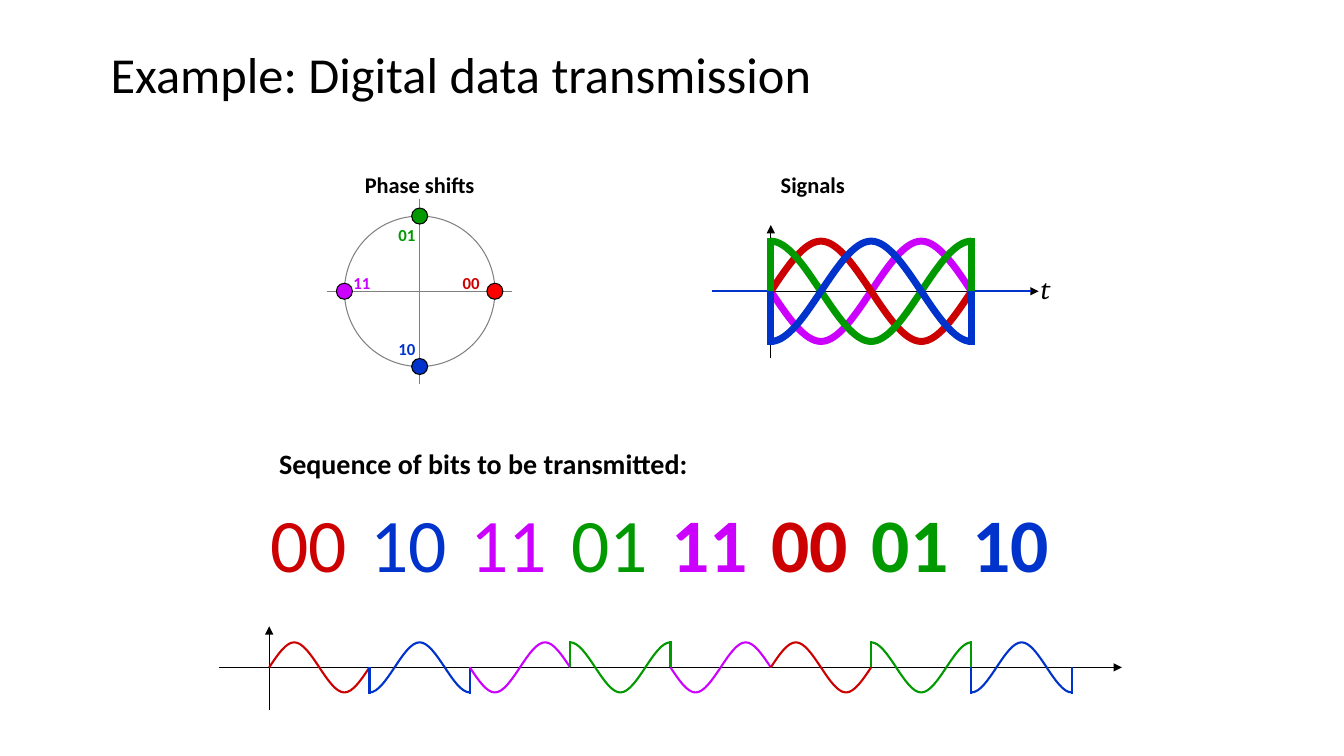
import math

from lxml import etree
from pptx import Presentation, util as u
from pptx.dml.color import RGBColor
from pptx.enum import shapes, text
from pptx.oxml import ns

BLACK = RGBColor(0x00, 0x00, 0x00)
GRAY = RGBColor(0x80, 0x80, 0x80)
RED = RGBColor(0xCC, 0x00, 0x00)
BRIGHT_RED = RGBColor(0xFF, 0x00, 0x00)
GREEN = RGBColor(0x00, 0x99, 0x00)
PURPLE = RGBColor(0xCC, 0x00, 0xFF)
BLUE = RGBColor(0x00, 0x33, 0xCC)

CELL = 7.96 / 8
LEFT, TOP = 2.67, 2.89
CENTER = 1.5
RADIUS = 0.75
DOT_RADIUS = 0.08
SIGNAL_START, SIGNAL_END = 5, 7
STREAM_ROW = 3.75

SYMBOLS = {"00": (0, RED), "01": (1, GREEN), "11": (2, PURPLE), "10": (3, BLUE)}
BITS = ["00", "10", "11", "01", "11", "00", "01", "10"]
FIRST_BOLD = 4
QUARTERS = [(0, 0.5, 1, 1), (1, 1, 0.5, 0), (0, -0.5, -1, -1), (-1, -1, -0.5, 0)]


def col(number):
    return u.Inches(LEFT + number * CELL)


def row(number):
    return u.Inches(TOP + number * CELL)


def span_of(cells):
    return u.Inches(cells * CELL)


def add_text(page, wording, left, top, width, height, size, color=BLACK,
             bold=False, italic=False, font="Calibri", align=text.PP_ALIGN.LEFT):
    box = page.shapes.add_textbox(col(left), row(top), span_of(width), span_of(height))
    box.text_frame.word_wrap = True
    para = box.text_frame.paragraphs[0]
    para.alignment = align
    span = para.add_run()
    span.text = wording
    span.font.name = font
    span.font.size = u.Pt(size)
    span.font.bold = bold
    span.font.italic = italic
    span.font.color.rgb = color


def add_line(page, start, end, color=BLACK, weight=0.75, arrow=False):
    line = page.shapes.add_connector(
        shapes.MSO_CONNECTOR.STRAIGHT, col(start[0]), row(start[1]), col(end[0]), row(end[1]))
    line.line.color.rgb = color
    line.line.width = u.Pt(weight)
    if arrow:
        etree.SubElement(line.line._get_or_add_ln(), ns.qn("a:tailEnd"), type="triangle")
    etree.SubElement(line._element.spPr, ns.qn("a:effectLst"))


def add_circle(page, column, level, radius, color, fill=None):
    circle = page.shapes.add_shape(
        shapes.MSO_SHAPE.OVAL, col(column - radius), row(level - radius),
        span_of(2 * radius), span_of(2 * radius))
    circle.shadow.inherit = False
    if fill is None:
        circle.fill.background()
    else:
        circle.fill.solid()
        circle.fill.fore_color.rgb = fill
    circle.line.color.rgb = color
    circle.line.width = u.Pt(0.75)


def bend_segments(arc):
    segments = list(arc._element.iter(ns.qn("a:lnTo")))
    for first in range(0, len(segments), 3):
        curve = etree.Element(ns.qn("a:cubicBezTo"))
        segments[first].addprevious(curve)
        for segment in segments[first:first + 3]:
            curve.append(segment[0])
            segment.getparent().remove(segment)


def add_arc(page, points, color, weight):
    places = [(col(x), row(y)) for x, y in points]
    builder = page.shapes.build_freeform(*places[0])
    builder.add_line_segments(places[1:], close=False)
    arc = builder.convert_to_shape()
    bend_segments(arc)
    arc.shadow.inherit = False
    arc.fill.background()
    arc.line.color.rgb = color
    arc.line.width = u.Pt(weight)


def add_wave(page, symbol, start, level, period, height, weight):
    phase, color = SYMBOLS[symbol]
    cuts = [0, 1, 3, 4] if phase % 2 else [0, 2, 4]
    for first, last in zip(cuts, cuts[1:]):
        points = [(start + period * first / 4,
                   level - height * QUARTERS[(first + phase) % 4][0])]
        for quarter in range(first, last):
            heights = QUARTERS[(quarter + phase) % 4]
            points += [(start + period * (quarter + third / 3) / 4,
                        level - height * heights[third]) for third in (1, 2, 3)]
        add_arc(page, points, color, weight)
    if phase % 2:
        edge = QUARTERS[phase][0] * (height + weight / 144)
        for side in (start, start + period):
            add_line(page, (side, level - edge), (side, level), color, weight)


def draw_phase_shifts(page):
    add_text(page, "Phase shifts", CENTER - 1, -1.25, 2, 0.37, 16, bold=True,
             align=text.PP_ALIGN.CENTER)
    add_line(page, (CENTER, 0.92), (CENTER, -0.92), GRAY)
    add_circle(page, CENTER, 0, RADIUS, GRAY)
    add_line(page, (CENTER - 0.92, 0), (CENTER + 0.92, 0), GRAY)
    labels = {"00": (1.83, -0.23), "01": (1.19, -0.71), "10": (1.19, 0.42), "11": (0.74, -0.23)}
    for symbol, (left, top) in labels.items():
        phase, color = SYMBOLS[symbol]
        add_text(page, symbol, left, top, 0.41 if phase % 2 == 0 else 0.5, 0.3, 12,
                 color, bold=True)
        angle = phase * math.pi / 2
        add_circle(page, CENTER + RADIUS * math.cos(angle), -RADIUS * math.sin(angle),
                   DOT_RADIUS, BLACK, BRIGHT_RED if symbol == "00" else color)


def draw_signals(page):
    add_text(page, "Signals", SIGNAL_START, -1.25, 2, 0.37, 16, bold=True)
    add_line(page, (4.41, 0), (7.67, 0), arrow=True)
    add_line(page, (SIGNAL_START, 0.67), (SIGNAL_START, -0.66), arrow=True)
    add_text(page, "t", 7.59, -0.25, 0.33, 0.43, 20, italic=True, font="Cambria")
    for start, end in ((4.41, SIGNAL_START), (SIGNAL_END, 7.59)):
        add_line(page, (start, 0), (end, 0), BLUE, 1.5)
    for symbol in ("11", "00", "01", "10"):
        add_wave(page, symbol, SIGNAL_START, 0, SIGNAL_END - SIGNAL_START, 0.5, 5)


def draw_bit_stream(page):
    add_text(page, "Sequence of bits to be transmitted:", 0, 1.5, 8, 0.43, 20, bold=True)
    add_line(page, (0, 4.17), (0, 3.34), arrow=True)
    add_line(page, (-0.5, STREAM_ROW), (8.5, STREAM_ROW), arrow=True)
    for place, symbol in enumerate(BITS):
        add_text(page, symbol, place - 0.09, 2, 1.16, 1, 54, SYMBOLS[symbol][1],
                 bold=place >= FIRST_BOLD)
        add_wave(page, symbol, place, STREAM_ROW, 1, 0.25, 1.5)


def main():
    deck = Presentation()
    deck.slide_width, deck.slide_height = u.Inches(13.33), u.Inches(7.5)
    page = deck.slides.add_slide(deck.slide_layouts[6])
    add_text(page, "Example: Digital data transmission", -1.68, -2.52, 11.34, 0.91, 36)
    draw_phase_shifts(page)
    draw_signals(page)
    draw_bit_stream(page)
    deck.save("out.pptx")


if __name__ == "__main__":
    main()
